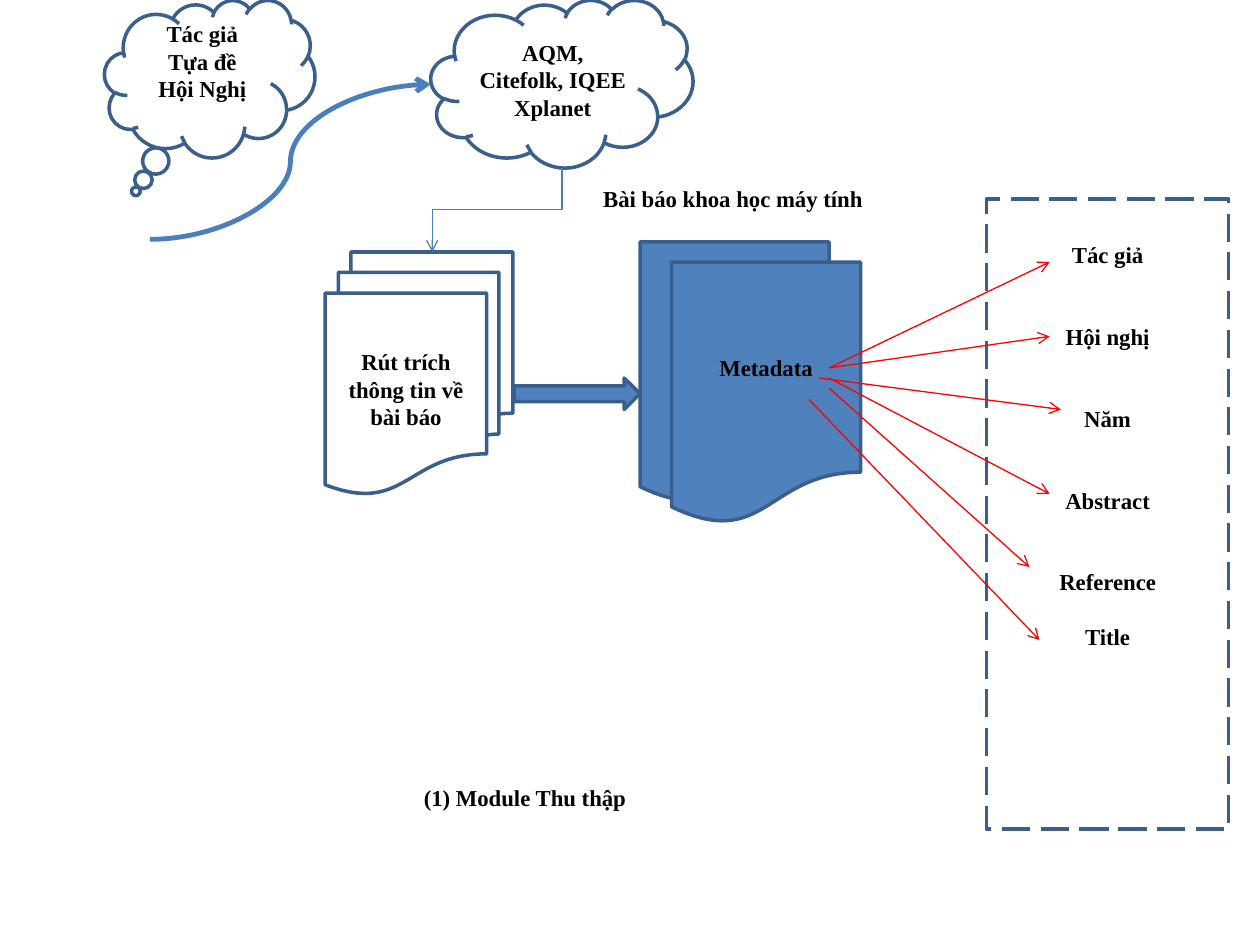
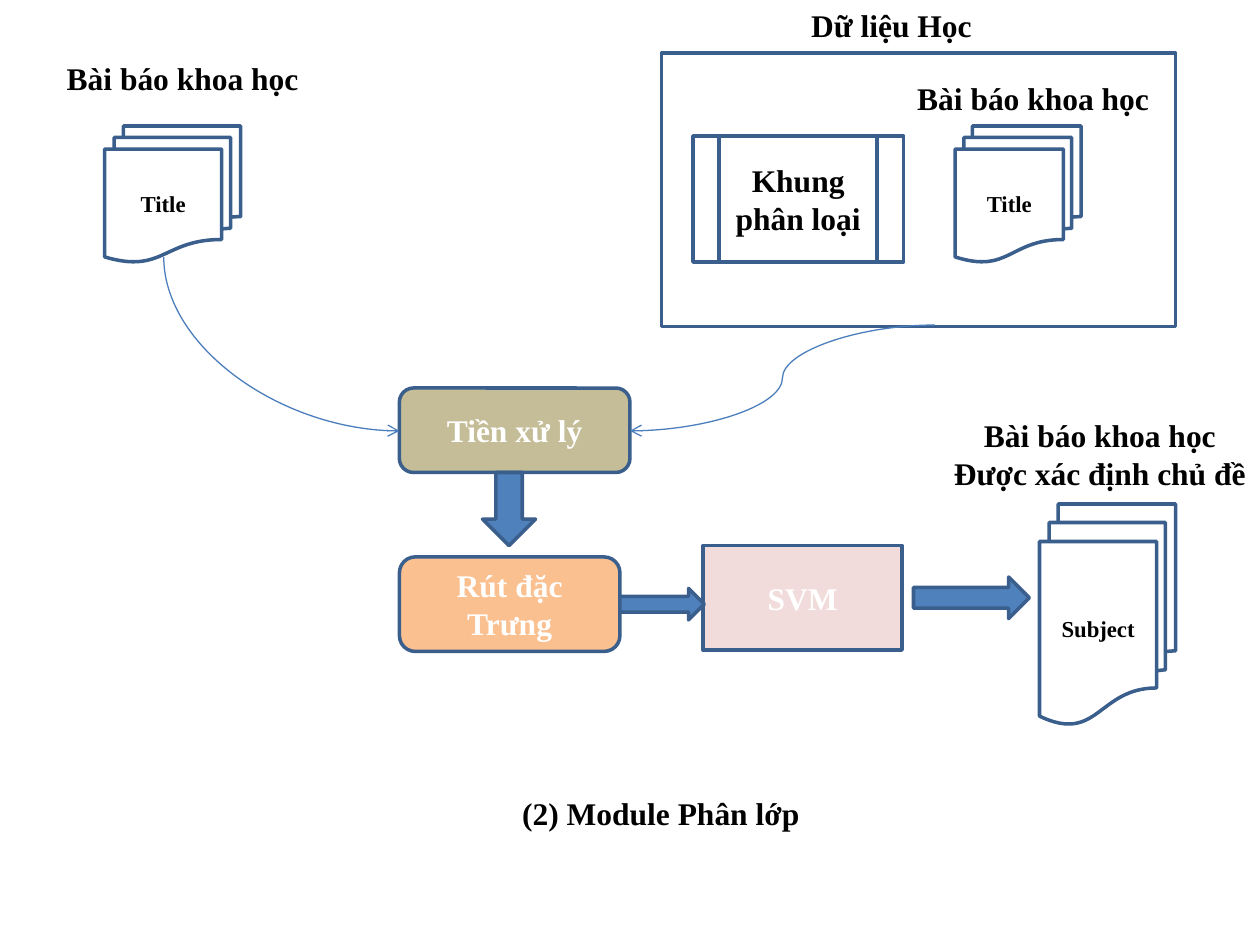
from lxml import etree
from pptx import Presentation
from pptx.dml.color import RGBColor
from pptx.enum.dml import MSO_LINE_DASH_STYLE as Dash
from pptx.enum.shapes import MSO_CONNECTOR as Link, MSO_SHAPE as Shape
from pptx.enum.text import MSO_ANCHOR as Anchor, PP_ALIGN as Align
from pptx.oxml.ns import qn
from pptx.util import Inches, Pt

COLORS = {
    "outline": "3A5F8C",
    "connector": "4B7EBC",
    "blue": "4F81BD",
    "red": "FF0000",
    "olive": "C4BD97",
    "orange": "FAC090",
    "pink": "F2DCDB",
    "black": "000000",
    "white": "FFFFFF",
}
FONT = "Times New Roman"
SMALL, LARGE = 13, 18
LINE_HEIGHT = 1.2


def color(name):
    return RGBColor.from_string(COLORS[name])


def write(shape, text, size, font_color="black"):
    frame = shape.text_frame
    frame.text = text
    for paragraph in frame.paragraphs:
        paragraph.alignment = Align.CENTER
        paragraph.line_spacing = Pt(size * LINE_HEIGHT)
        for run in paragraph.runs:
            run.font.name = FONT
            run.font.size = Pt(size)
            run.font.bold = True
            run.font.color.rgb = color(font_color)


def add_box(slide, kind, box, text="", size=SMALL, fill=None, font_color="black"):
    shape = slide.shapes.add_shape(kind, *map(Inches, box))
    shape.shadow.inherit = False
    if fill:
        shape.fill.solid()
        shape.fill.fore_color.rgb = color(fill)
    else:
        shape.fill.background()
    shape.line.color.rgb = color("outline")
    shape.line.width = Pt(2)
    if text:
        shape.text_frame.word_wrap = True
        shape.text_frame.vertical_anchor = Anchor.MIDDLE
        write(shape, text, size, font_color)
    return shape


def add_label(slide, box, text, size):
    label = slide.shapes.add_textbox(*map(Inches, box))
    label.text_frame.word_wrap = False
    write(label, text, size)


def unturn(begin, end, turn):
    if not turn:
        return begin, end
    sign = 1 if turn == 90 else -1
    center_x, center_y = (begin[0] + end[0]) / 2, (begin[1] + end[1]) / 2
    return [(center_x + sign * (y - center_y), center_y - sign * (x - center_x))
            for x, y in (begin, end)]


def add_arrow(slide, begin, end, kind=Link.STRAIGHT, line_color="connector",
              width=0.75, turn=0, preset=None):
    begin, end = unturn(begin, end, turn)
    connector = slide.shapes.add_connector(kind, *map(Inches, (*begin, *end)))
    connector.line.color.rgb = color(line_color)
    connector.line.width = Pt(width)
    properties = connector.element.spPr
    if turn:
        properties.find(qn("a:xfrm")).set("rot", str(turn * 60000))
    if preset:
        properties.find(qn("a:prstGeom")).set("prst", preset)
    etree.SubElement(properties.find(qn("a:ln")), qn("a:tailEnd"), type="arrow")
    etree.SubElement(properties, qn("a:effectLst"))


def add_metadata_fields(slide):
    fields = ["Tác giả", "Hội nghị", "Năm", "Abstract", "Reference", "Title"]
    panel = add_box(slide, Shape.RECTANGLE, (7.83, 1.58, 1.92, 5), "\n".join(fields))
    panel.line.dash_style = Dash.LONG_DASH
    frame = panel.text_frame
    frame.vertical_anchor = Anchor.TOP
    frame.margin_top = Inches(0.33)
    for paragraph in frame.paragraphs[1:]:
        blank_lines = 1 if paragraph.text == "Title" else 2
        paragraph.space_before = Pt(blank_lines * SMALL * LINE_HEIGHT)
    for begin, end in [
        ((6.58, 2.92), (8.33, 2.08)),
        ((6.58, 2.92), (8.33, 2.67)),
        ((6.5, 3), (8.42, 3.25)),
        ((6.58, 3), (8.33, 3.92)),
        ((6.58, 3.08), (8.17, 4.5)),
        ((6.42, 3.17), (8.25, 5.08)),
    ]:
        add_arrow(slide, begin, end, line_color="red")


def build_collection(slide):
    add_box(slide, Shape.FLOWCHART_MULTIDOCUMENT, (2.58, 2, 1.49, 1.92),
            "Rút trích thông tin về bài báo")
    add_label(slide, (3.25, 6.17, 1.83, 0.32), "(1) Module Thu thập", SMALL)
    query = add_box(slide, Shape.CLOUD_CALLOUT, (0.83, 0, 1.67, 1.25),
                    "Tác giả\nTựa đề\nHội Nghị")
    query.adjustments[0], query.adjustments[1] = -0.351, 0.715
    query.text_frame.margin_bottom = Inches(0.27)
    add_box(slide, Shape.CLOUD, (3.42, 0, 2.08, 1.33), "AQM, Citefolk, IQEE Xplanet")
    add_arrow(slide, (4.46, 1.33), (3.43, 2), Link.ELBOW, turn=90)
    add_box(slide, Shape.FLOWCHART_DOCUMENT, (5.08, 1.92, 1.5, 2.08), fill="blue")
    add_label(slide, (4.67, 1.42, 2.29, 0.32), "Bài báo khoa học máy tính", SMALL)
    add_box(slide, Shape.FLOWCHART_DOCUMENT, (5.33, 2.08, 1.5, 2.08), "Metadata",
            fill="blue")
    add_box(slide, Shape.RIGHT_ARROW, (4.08, 3, 1, 0.25), fill="blue")
    add_metadata_fields(slide)
    add_arrow(slide, (1.19, 1.9), (3.42, 0.67), Link.CURVE, width=2.75)


def build_classification(slide):
    for box, text in [
        ((4, 6.25, 2.49, 0.4), "(2) Module Phân lớp"),
        ((0.42, 0.42, 2.06, 0.4), "Bài báo khoa học"),
        ((7.17, 0.58, 2.06, 0.4), "Bài báo khoa học"),
        ((7.46, 3.25, 2.54, 0.71), "Bài báo khoa học\nĐược xác định chủ đề"),
        ((6.33, 0, 1.49, 0.4), "Dữ liệu Học"),
    ]:
        add_label(slide, box, text, LARGE)
    for box, text in [
        ((7.58, 1, 1, 1.08), "Title"),
        ((0.83, 1, 1.08, 1.08), "Title"),
        ((8.25, 4, 1.08, 1.75), "Subject"),
    ]:
        add_box(slide, Shape.FLOWCHART_MULTIDOCUMENT, box, text)
    process = Shape.FLOWCHART_ALTERNATE_PROCESS
    for kind, box, text, fill in [
        (Shape.RECTANGLE, (5.58, 4.33, 1.58, 0.83), "SVM", "pink"),
        (process, (3.17, 3.08, 1.83, 0.67), "Tiền xử lý", "olive"),
        (process, (3.17, 4.42, 1.75, 0.75), "Rút đặc Trưng", "orange"),
    ]:
        add_box(slide, kind, box, text, LARGE, fill, "white")
    add_box(slide, Shape.FLOWCHART_PREDEFINED_PROCESS, (5.5, 1.08, 1.67, 1),
            "Khung phân loại", LARGE)
    add_box(slide, Shape.RECTANGLE, (5.25, 0.42, 4.08, 2.17))
    add_arrow(slide, (1.3, 2.04), (3.17, 3.42), Link.CURVE, turn=270,
              preset="curvedConnector2")
    add_arrow(slide, (7.42, 2.58), (5, 3.42), Link.CURVE)
    for kind, box in [
        (Shape.DOWN_ARROW, (3.83, 3.75, 0.42, 0.58)),
        (Shape.RIGHT_ARROW, (4.92, 4.67, 0.67, 0.25)),
        (Shape.RIGHT_ARROW, (7.25, 4.58, 0.92, 0.33)),
    ]:
        add_box(slide, kind, box, fill="blue")


def main():
    presentation = Presentation()
    presentation.slide_width, presentation.slide_height = Inches(10), Inches(7.5)
    blank_layout = presentation.slide_layouts[6]
    for build in (build_collection, build_classification):
        build(presentation.slides.add_slide(blank_layout))
    presentation.save("out.pptx")


main()
